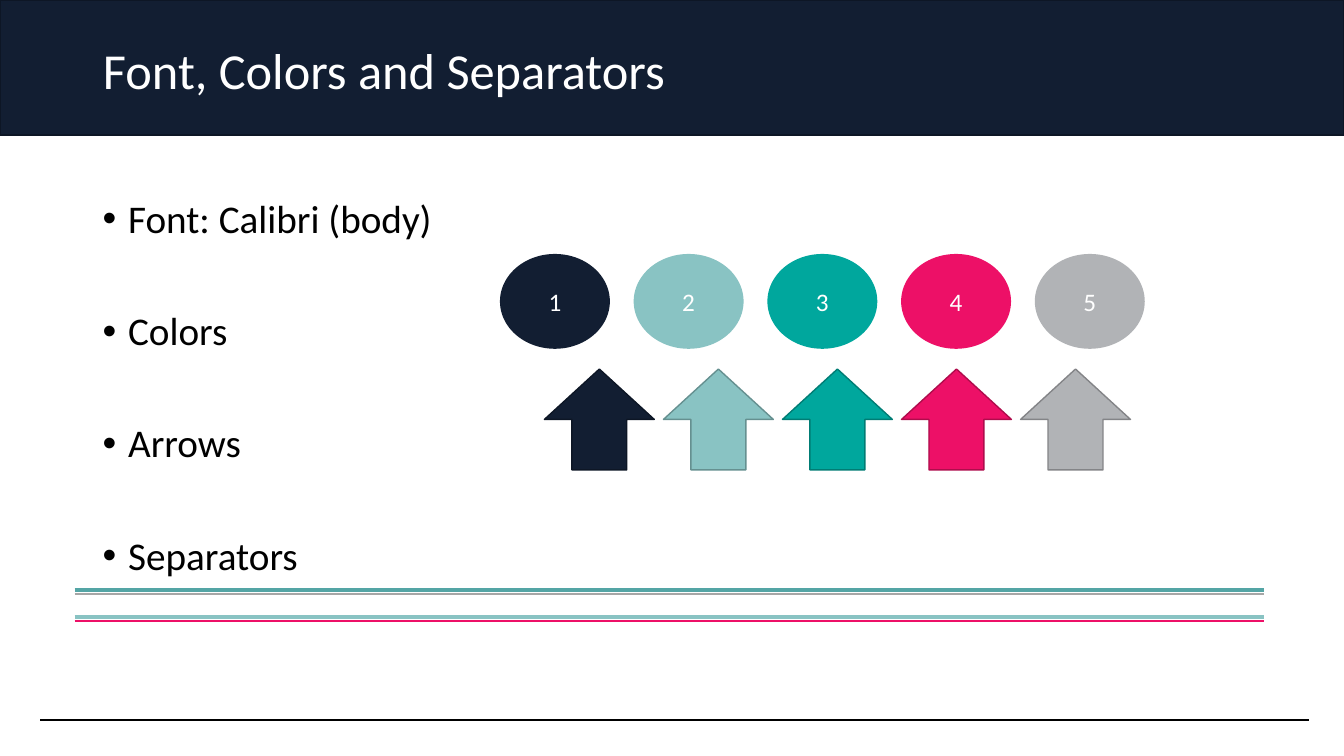
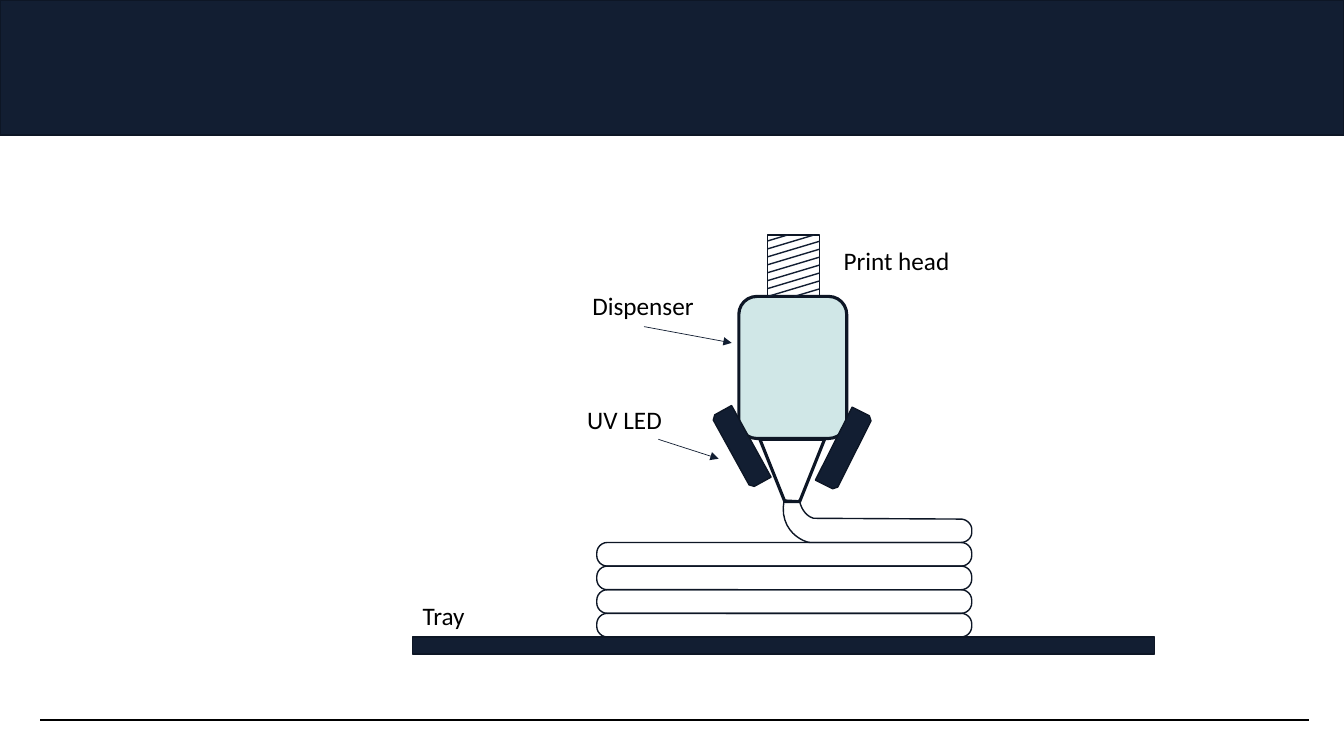
from dataclasses import dataclass
from lxml.etree import SubElement
from pptx import Presentation
from pptx.dml.color import RGBColor
from pptx.enum.shapes import MSO_CONNECTOR, MSO_SHAPE
from pptx.enum.text import MSO_ANCHOR, PP_ALIGN
from pptx.oxml.ns import qn
from pptx.util import Cm, Pt


@dataclass(frozen=True)
class Theme:
    font: str = "Calibri"
    title_size: int = 36
    body_size: int = 28
    label_size: int = 18
    navy: str = "121E32"
    navy_edge: str = "0D1625"
    aqua: str = "89C3C3"
    pale_aqua: str = "D0E7E7"
    deep_aqua: str = "54A5A5"
    teal: str = "00A79D"
    pink: str = "ED1067"
    silver: str = "B1B3B6"
    gray: str = "A6A6A6"
    white: str = "FFFFFF"
    black: str = "000000"

    @property
    def palette(self):
        return (
            (self.navy, self.navy_edge),
            (self.aqua, "659090"),
            (self.teal, "007C74"),
            (self.pink, "AF0C4C"),
            (self.silver, "838487"),
        )


@dataclass(frozen=True)
class Box:
    left: float
    top: float
    width: float
    height: float

    @property
    def lengths(self):
        return Cm(self.left), Cm(self.top), Cm(self.width), Cm(self.height)

    @property
    def right(self):
        return self.left + self.width

    @property
    def bottom(self):
        return self.top + self.height

    def point(self, x, y):
        return self.left + x, self.top + y

    def inner(self, x, y, width, height):
        return Box(*self.point(x, y), width, height)


THEME = Theme()
PAGE = Box(0, 0, 33.87, 19.05)


def style_text(text_frame, size, color):
    for paragraph in text_frame.paragraphs:
        for run in paragraph.runs:
            run.font.name = THEME.font
            run.font.size = Pt(size)
            run.font.color.rgb = RGBColor.from_string(color)


def style_shape(shape, fill=None, edge=None, weight=1):
    shape.shadow.inherit = False
    if fill:
        shape.fill.solid()
        shape.fill.fore_color.rgb = RGBColor.from_string(fill)
    else:
        shape.fill.background()
    if edge:
        shape.line.color.rgb = RGBColor.from_string(edge)
        shape.line.width = Pt(weight)
    else:
        shape.line.fill.background()


def add_shape(slide, kind, box, fill=None, edge=None, weight=1, rotation=0, adjustment=None):
    shape = slide.shapes.add_shape(kind, *box.lengths)
    style_shape(shape, fill, edge, weight)
    shape.rotation = rotation
    if adjustment is not None:
        shape.adjustments[0] = adjustment
    return shape


def add_line(slide, start, end, color, weight, arrow=False):
    ends = [Cm(value) for value in (*start, *end)]
    line = slide.shapes.add_connector(MSO_CONNECTOR.STRAIGHT, *ends)
    line.line.color.rgb = RGBColor.from_string(color)
    line.line.width = Pt(weight)
    properties = line._element.spPr
    if arrow:
        SubElement(properties.find(qn("a:ln")), qn("a:tailEnd"), type="triangle")
    SubElement(properties, qn("a:effectLst"))
    return line


def add_text(slide, box, text, size, color):
    text_frame = slide.shapes.add_textbox(*box.lengths).text_frame
    text_frame.word_wrap = True
    text_frame.text = text
    style_text(text_frame, size, color)
    return text_frame


def move_frame_to_master(presentation, slide, box):
    band = add_shape(slide, MSO_SHAPE.RECTANGLE, box.inner(0, 0, box.width, 3.4),
                     THEME.navy, THEME.navy_edge)
    rule = add_line(slide, box.point(1.02, 18.14), box.point(32.99, 18.14), THEME.black, 1)
    master_tree = presentation.slide_master.shapes._spTree
    for position, shape in enumerate((rule, band)):
        shape._element.xpath(".//p:cNvPr")[0].set("id", str(100 + position))
        master_tree.insert(2 + position, shape._element)


def place_title(slide, box, text):
    title = slide.shapes.title
    title.left, title.top, title.width, title.height = box.lengths
    text_frame = title.text_frame
    text_frame.text = text
    text_frame.vertical_anchor = MSO_ANCHOR.MIDDLE
    text_frame.paragraphs[0].alignment = PP_ALIGN.LEFT
    text_frame.paragraphs[0].line_spacing = 0.9
    style_text(text_frame, THEME.title_size, THEME.white)


def draw_bullets(slide, box, items):
    text_frame = add_text(slide, box, "\n".join(items), THEME.body_size, THEME.black)
    for paragraph in text_frame.paragraphs:
        paragraph.line_spacing = 0.9
        paragraph.space_after = Pt(50)
        properties = paragraph._p.get_or_add_pPr()
        properties.set("marL", str(Cm(0.64)))
        properties.set("indent", str(-Cm(0.64)))
        SubElement(properties, qn("a:buFont"), typeface="Arial")
        SubElement(properties, qn("a:buChar"), char="•")


def draw_color_circles(slide, box):
    width = 2.77
    pitch = (box.width - width) / (len(THEME.palette) - 1)
    for index, (fill, _) in enumerate(THEME.palette):
        circle = add_shape(slide, MSO_SHAPE.OVAL,
                           box.inner(index * pitch, 0, width, box.height), fill)
        text_frame = circle.text_frame
        text_frame.text = str(index + 1)
        text_frame.vertical_anchor = MSO_ANCHOR.MIDDLE
        text_frame.paragraphs[0].alignment = PP_ALIGN.CENTER
        style_text(text_frame, THEME.label_size, THEME.white)


def draw_color_arrows(slide, box):
    width = 2.77
    pitch = (box.width - width) / (len(THEME.palette) - 1)
    for index, (fill, edge) in enumerate(THEME.palette):
        add_shape(slide, MSO_SHAPE.UP_ARROW,
                  box.inner(index * pitch, 0, width, box.height), fill, edge)


def draw_separator(slide, box, upper_color, lower_color):
    add_line(slide, (box.left, box.top), (box.right, box.top), upper_color, 3)
    add_line(slide, (box.left, box.bottom), (box.right, box.bottom), lower_color, 1.5)


def draw_print_head(slide, box):
    add_shape(slide, MSO_SHAPE.RECTANGLE, box, edge=THEME.navy_edge)
    slope, spacing = 0.3, 0.2
    for index in range(-1, 8):
        y = box.height - index * spacing
        start_x = max(0, (y - box.height) / slope)
        end_x = min(box.width, y / slope)
        add_line(slide, box.point(start_x, y - start_x * slope),
                 box.point(end_x, y - end_x * slope), THEME.navy, 1)


def draw_dispenser(slide, box):
    add_shape(slide, MSO_SHAPE.ROUNDED_RECTANGLE, box.inner(0, 0, 2.72, 3.58),
              THEME.pale_aqua, THEME.navy_edge, 2.25)
    add_shape(slide, MSO_SHAPE.TRAPEZOID, box.inner(0.53, 3.6, 1.63, 1.57),
              edge=THEME.navy_edge, weight=2.25, rotation=180, adjustment=0.4)
    for x, y, rotation in ((-0.97, 3.5, 241.1), (1.62, 3.55, 116.7)):
        add_shape(slide, MSO_SHAPE.SNIP_2_SAME_RECTANGLE, box.inner(x, y, 2.06, 0.58),
                  THEME.navy, THEME.navy_edge, rotation=rotation)


def curve_points(start, first_control, second_control, end, steps=12):
    for step in range(1, steps + 1):
        t = step / steps
        weights = ((1 - t) ** 3, 3 * t * (1 - t) ** 2, 3 * t ** 2 * (1 - t), t ** 3)
        corners = (start, first_control, second_control, end)
        yield tuple(sum(weight * corner[axis] for weight, corner in zip(weights, corners))
                    for axis in (0, 1))


def draw_flowing_strand(slide, box):
    start = (0.53, 0.08)
    segments = (
        ((0.53, -0.07), (0.53, 0.41), (0.89, 0.52)),
        ((4.6, 0.54),),
        ((4.75, 0.54), (4.88, 0.67), (4.88, 0.8)),
        ((4.88, 0.87),),
        ((4.88, 1.02), (4.75, 1.13), (4.6, 1.13)),
        ((0.81, 1.13),),
        ((0.66, 1.13), (0, 0.85), (0.15, 0.06)),
    )
    outline = [start]
    for segment in segments:
        outline.extend(segment if len(segment) == 1 else curve_points(outline[-1], *segment))
    points = [tuple(Cm(value) for value in box.point(x, y)) for x, y in outline]
    builder = slide.shapes.build_freeform(*points[0])
    builder.add_line_segments(points[1:], close=True)
    style_shape(builder.convert_to_shape(), edge=THEME.navy_edge)


def draw_layers(slide, box, count=4):
    height = box.height / count
    for index in range(count):
        add_shape(slide, MSO_SHAPE.ROUNDED_RECTANGLE,
                  box.inner(0, index * height, box.width, height),
                  edge=THEME.navy_edge, adjustment=0.45)


def draw_labels(slide, box):
    labels = (
        ("Print head", 10.61, 0.13, 3.68),
        ("Dispenser", 4.28, 1.27, 3.2),
        ("UV LED", 4.15, 4.14, 3.05),
        ("Tray", 0, 9.09, 1.7),
    )
    for text, x, y, width in labels:
        add_text(slide, box.inner(x, y, width, 1.02), text, THEME.label_size, THEME.black)
    for start, end in (((5.83, 2.31), (8.04, 2.72)), ((6.19, 5.15), (7.71, 5.64))):
        add_line(slide, box.point(*start), box.point(*end), THEME.navy, 0.5, arrow=True)


def draw_printer(slide, box):
    draw_dispenser(slide, box.inner(8.22, 1.55, 2.72, 5.17))
    draw_layers(slide, box.inner(4.64, 7.75, 9.45, 2.38))
    draw_flowing_strand(slide, box.inner(9.21, 6.62, 4.88, 1.13))
    add_shape(slide, MSO_SHAPE.RECTANGLE, box.inner(0, 10.13, box.width, 0.43),
              THEME.navy, THEME.navy_edge)
    draw_print_head(slide, box.inner(8.95, 0, 1.3, 1.55))
    draw_labels(slide, box)


def build_style_slide(slide, box):
    place_title(slide, box.inner(2.34, 0.91, 24.84, 1.85), "Font, Colors and Separators")
    draw_separator(slide, box.inner(1.88, 15.54, 29.97, 0.11), THEME.aqua, THEME.pink)
    draw_bullets(slide, box.inner(2.34, 4.9, 29.21, 11.96),
                 ("Font: Calibri (body)", "Colors", "Arrows", "Separators"))
    draw_color_circles(slide, box.inner(12.6, 6.4, 16.25, 2.39))
    draw_separator(slide, box.inner(1.88, 14.86, 29.97, 0.1), THEME.deep_aqua, THEME.gray)
    draw_color_arrows(slide, box.inner(13.72, 9.3, 14.77, 2.54))


def build_printer_slide(slide, box):
    draw_printer(slide, box.inner(10.4, 5.92, 18.7, 10.56))


presentation = Presentation()
presentation.slide_width = Cm(PAGE.width)
presentation.slide_height = Cm(PAGE.height)
title_only, blank = presentation.slide_layouts[5], presentation.slide_layouts[6]
style_slide = presentation.slides.add_slide(title_only)
printer_slide = presentation.slides.add_slide(blank)
move_frame_to_master(presentation, style_slide, PAGE)
build_style_slide(style_slide, PAGE)
build_printer_slide(printer_slide, PAGE)
presentation.save("out.pptx")
